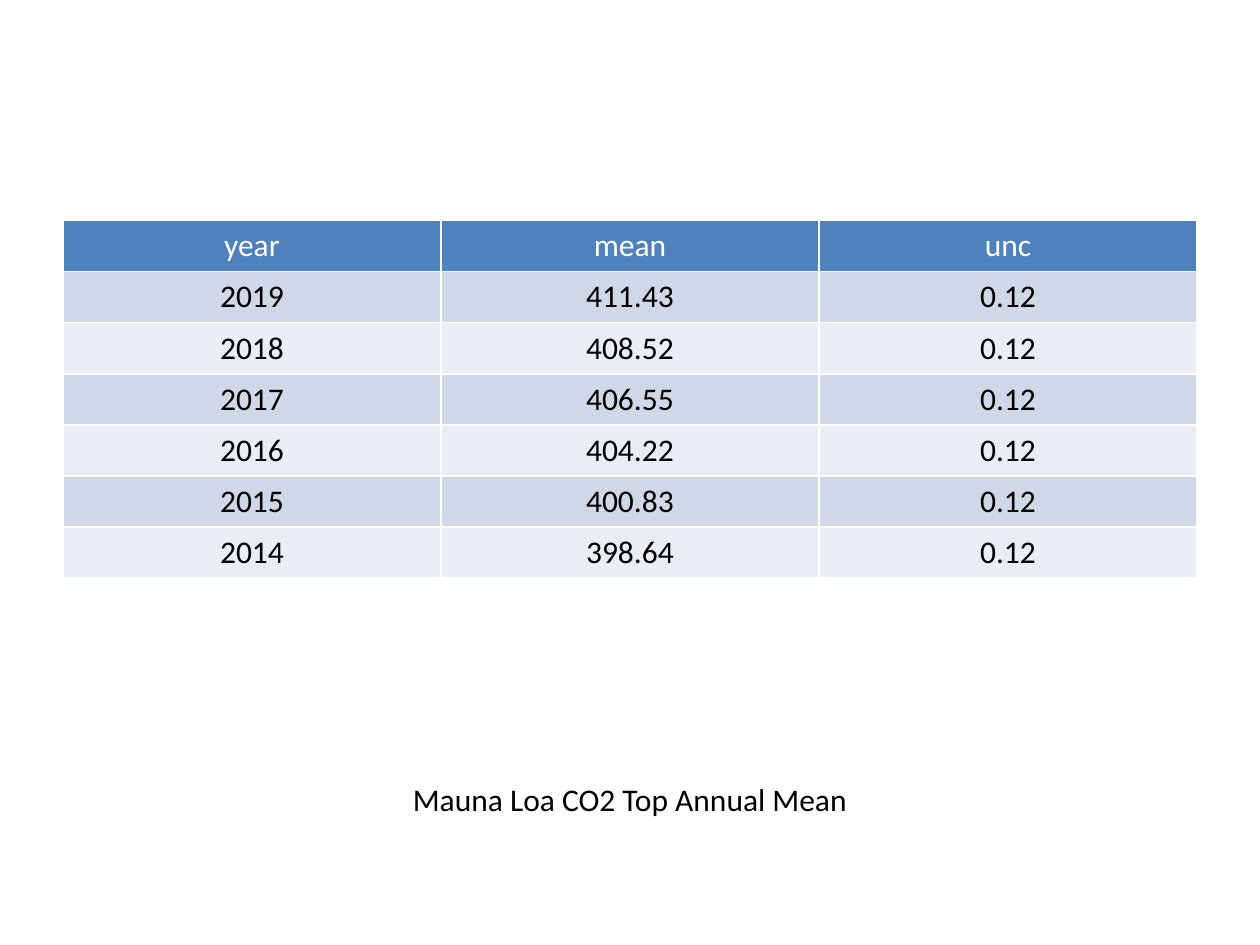
from dataclasses import dataclass

import pptx
import pptx.dml.color
import pptx.enum.text
import pptx.util


@dataclass(frozen=True)
class Theme:
    font: str = "Calibri"
    size: int = 18
    text: str = "000000"
    header_text: str = "FFFFFF"
    header_fill: str = "4F81BD"
    bands: tuple = ("D0D8E8", "E9EDF4")


def rgb(value):
    return pptx.dml.color.RGBColor.from_string(value)


class SlideBuilder:
    """Places elements on a grid of 40 columns by 30 rows."""

    COLUMNS, ROWS = 40, 30

    def __init__(self, deck, theme):
        self.theme = theme
        self.slide = deck.slides.add_slide(deck.slide_layouts[6])
        self.column = deck.slide_width / self.COLUMNS
        self.row = deck.slide_height / self.ROWS

    def area(self, left, top, width, height):
        return (
            round(left * self.column),
            round(top * self.row),
            round(width * self.column),
            round(height * self.row),
        )

    def set_text(self, frame, text, color):
        paragraph = frame.paragraphs[0]
        paragraph.text = text
        paragraph.alignment = pptx.enum.text.PP_ALIGN.CENTER
        paragraph.font.name = self.theme.font
        paragraph.font.size = pptx.util.Pt(self.theme.size)
        paragraph.font.bold = False
        paragraph.font.color.rgb = rgb(color)

    def table(self, records, *area):
        """Draw a banded table; the first record is its header."""
        theme = self.theme
        table = self.slide.shapes.add_table(
            len(records), len(records[0]), *self.area(*area)
        ).table
        for index, record in enumerate(records):
            if index == 0:
                fill, color = theme.header_fill, theme.header_text
            else:
                fill, color = theme.bands[(index - 1) % 2], theme.text
            for cell, value in zip(table.rows[index].cells, record):
                cell.fill.solid()
                cell.fill.fore_color.rgb = rgb(fill)
                self.set_text(cell.text_frame, value, color)

    def caption(self, text, *area):
        frame = self.slide.shapes.add_textbox(*self.area(*area)).text_frame
        frame.word_wrap = True
        self.set_text(frame, text, self.theme.text)


def main():
    deck = pptx.Presentation()
    deck.slide_width = pptx.util.Inches(10)
    deck.slide_height = pptx.util.Inches(7.5)

    annual_means = {
        "2019": "411.43",
        "2018": "408.52",
        "2017": "406.55",
        "2016": "404.22",
        "2015": "400.83",
        "2014": "398.64",
    }
    uncertainty = "0.12"
    records = [("year", "mean", "unc")]
    records += [(year, mean, uncertainty) for year, mean in annual_means.items()]

    builder = SlideBuilder(deck, Theme())
    builder.table(records, 2, 7, 36, 11.2)
    builder.caption("Mauna Loa CO2 Top Annual Mean", 2, 24.56, 36, 2.24)
    deck.save("out.pptx")


if __name__ == "__main__":
    main()
